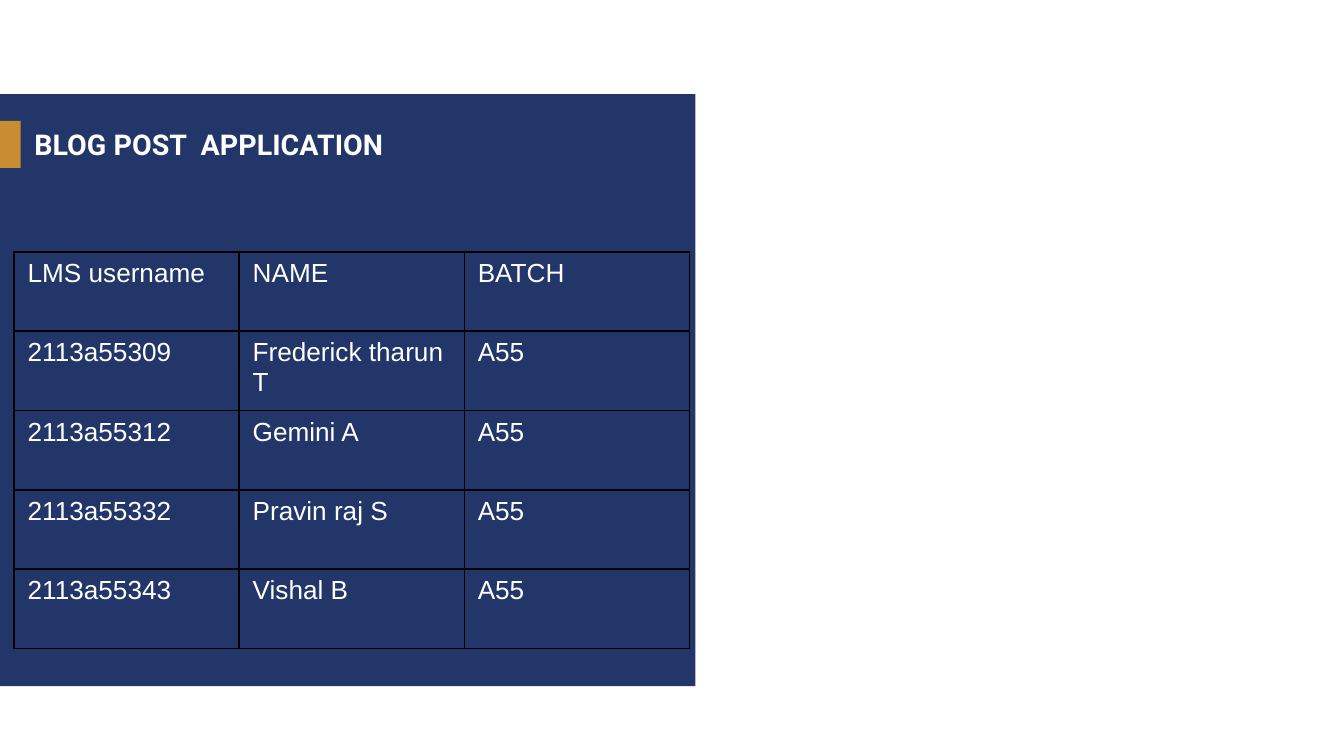
from dataclasses import dataclass

from lxml.etree import SubElement
from pptx import Presentation
from pptx.dml.color import RGBColor as RGB
from pptx.enum.shapes import MSO_SHAPE as SHAPE
from pptx.enum.text import MSO_ANCHOR as ANCHOR, MSO_AUTO_SIZE as FIT, PP_ALIGN as ALIGN
from pptx.oxml.ns import qn
from pptx.util import Pt

PX = 4572  # EMU per px, 200 px to the inch


@dataclass(frozen=True)
class Theme:
    navy: RGB = RGB(0x22, 0x36, 0x69)
    gold: RGB = RGB(0xC8, 0x8C, 0x32)
    white: RGB = RGB(0xFF, 0xFF, 0xFF)
    rule: str = "000000"
    head: Pt = Pt(15.3)
    body: Pt = Pt(14)


def style(para, face, size, bold):
    para.font.name = face
    para.font.size = size
    para.font.bold = bold
    para.font.color.rgb = theme.white


def border(cell):
    props = cell._tc.get_or_add_tcPr()
    for side in ("lnL", "lnR", "lnT", "lnB"):
        line = SubElement(props, qn(f"a:{side}"), w=str(Pt(1)))
        fill = SubElement(line, qn("a:solidFill"))
        SubElement(fill, qn("a:srgbClr"), val=theme.rule)


theme = Theme()
deck = Presentation()
deck.slide_width = 2000 * PX
deck.slide_height = 1125 * PX
slide = deck.slides.add_slide(deck.slide_layouts[5])
shapes = slide.shapes
title = shapes.title

# Panel and accent
for top, width, height, color in (
    (140, 1035, 881, theme.navy),
    (180, 31, 70, theme.gold),
):
    block = shapes.add_shape(SHAPE.RECTANGLE, 0, top * PX, width * PX, height * PX)
    block.shadow.inherit = False
    block.fill.solid()
    block.fill.fore_color.rgb = color
    block.line.fill.background()

# Title, brought in front of the panel
shapes._spTree.append(title._element)
title.left, title.top = 31 * PX, 177 * PX
title.width, title.height = 748 * PX, 76 * PX
frame = title.text_frame
frame.text = "BLOG POST  APPLICATION"
frame.auto_size = FIT.NONE
frame.word_wrap = True
frame.vertical_anchor = ANCHOR.MIDDLE
frame.margin_left = frame.margin_right = 20 * PX
frame.margin_top = frame.margin_bottom = 10 * PX
para = frame.paragraphs[0]
para.alignment = ALIGN.LEFT
style(para, "Roboto", theme.head, True)

# Team table
team = (
    ("LMS username", "NAME", "BATCH"),
    ("2113a55309", "Frederick tharun T", "A55"),
    ("2113a55312", "Gemini A", "A55"),
    ("2113a55332", "Pravin raj S", "A55"),
    ("2113a55343", "Vishal B", "A55"),
)
rows, cols = len(team), len(team[0])
table = shapes.add_table(
    rows, cols, 21 * PX, 375 * PX, cols * 335 * PX, rows * 118 * PX
).table
table.first_row = table.horz_banding = False
for r, row in enumerate(team):
    for c, text in enumerate(row):
        cell = table.cell(r, c)
        cell.text = text
        border(cell)
        cell.fill.background()
        style(cell.text_frame.paragraphs[0], "Arial", theme.body, False)

deck.save("out.pptx")
